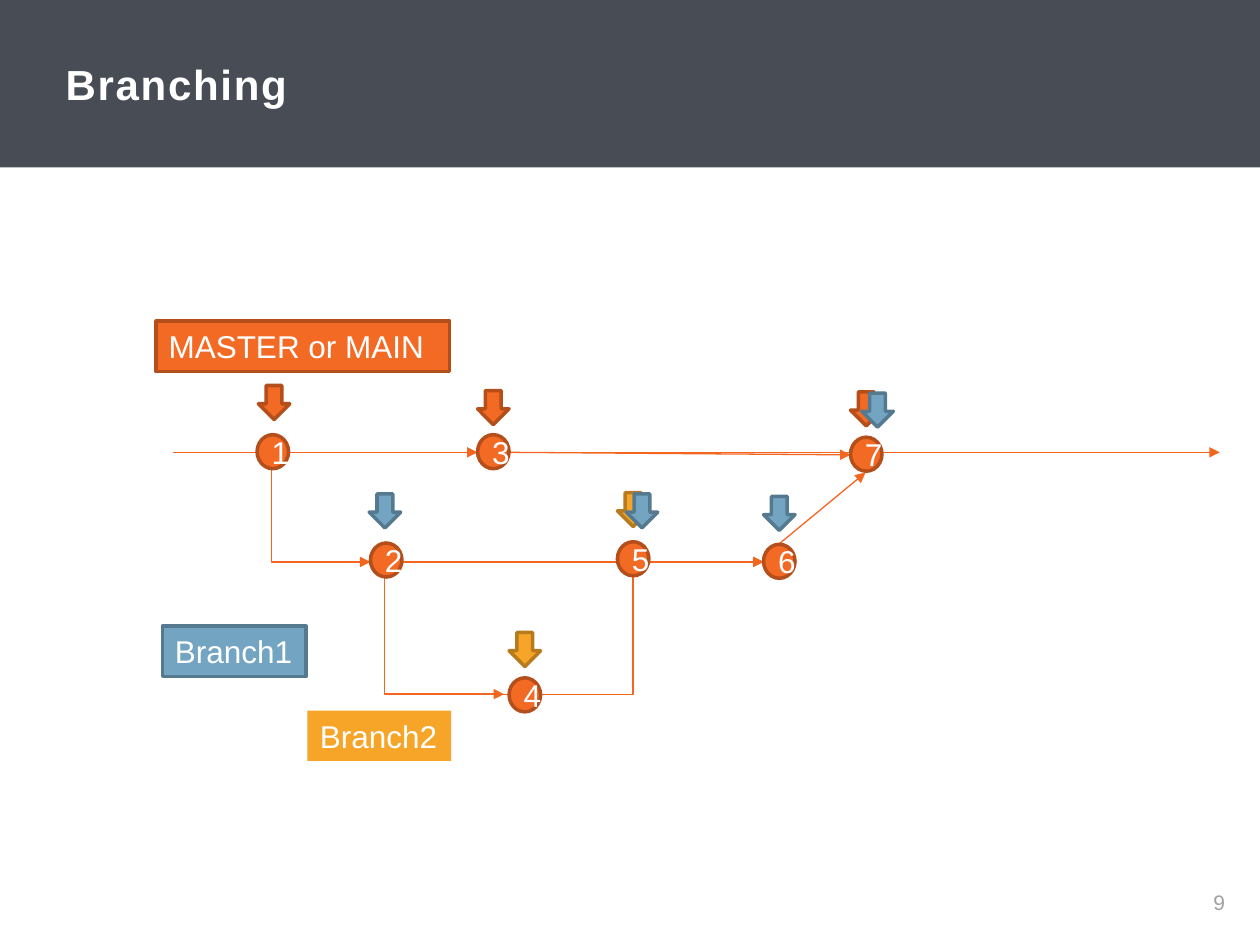
from lxml.etree import SubElement
from pptx import Presentation
from pptx.dml.color import RGBColor
from pptx.enum.shapes import MSO_CONNECTOR, MSO_SHAPE
from pptx.enum.text import MSO_ANCHOR, MSO_AUTO_SIZE, PP_ALIGN
from pptx.oxml.ns import qn
from pptx.util import Inches, Pt

COLORS = {
    "band": "474C55", "white": "FFFFFF", "page": "A0A1A0", "path": "F3661F",
    "main": "F36A25", "main_edge": "B44E1B",
    "branch1": "73A5C2", "branch1_edge": "557A90",
    "branch2": "F7A528", "branch2_edge": "B77A1E",
}
MARK_W, MARK_H = 0.25, 0.27


def add_block(kind, left, top, width, height, fill, edge=None):
    block = slide.shapes.add_shape(
        kind, Inches(left), Inches(top), Inches(width), Inches(height))
    block.shadow.inherit = False
    block.fill.solid()
    block.fill.fore_color.rgb = RGBColor.from_string(COLORS[fill])
    if edge:
        block.line.color.rgb = RGBColor.from_string(COLORS[edge])
        block.line.width = Pt(2)
    else:
        block.line.fill.background()
    return block


def write(frame, text, size, color, align, bold=False):
    frame.text = text
    paragraph = frame.paragraphs[0]
    paragraph.alignment = align
    paragraph.font.name = "Arial"
    paragraph.font.size = Pt(size)
    paragraph.font.bold = bold
    paragraph.font.color.rgb = RGBColor.from_string(COLORS[color])


prs = Presentation()
prs.slide_width, prs.slide_height = Inches(10), Inches(7.5)
slide = prs.slides.add_slide(prs.slide_layouts[5])

band = add_block(MSO_SHAPE.RECTANGLE, 0, 0, 10, 1.33, "band")
title = slide.shapes.title
band._element.addnext(title._element)
title.left, title.top = Inches(0.42), Inches(-0.01)
title.width, title.height = Inches(6.81), Inches(1.34)
write(title.text_frame, "Branching", 24, "white", PP_ALIGN.LEFT, bold=True)
title.text_frame.vertical_anchor = MSO_ANCHOR.MIDDLE
title.text_frame.auto_size = MSO_AUTO_SIZE.NONE
title.text_frame.paragraphs[0].runs[0].font._element.set("spc", "100")

page_number = slide.shapes.add_textbox(
    Inches(8.88), Inches(6.96), Inches(0.94), Inches(0.4))
page_number.text_frame.word_wrap = True
page_number.text_frame.vertical_anchor = MSO_ANCHOR.MIDDLE
write(page_number.text_frame, "9", 12, "page", PP_ALIGN.RIGHT)

STRAIGHT, ELBOW = MSO_CONNECTOR.STRAIGHT, MSO_CONNECTOR.ELBOW
history_paths = [
    (STRAIGHT, 1.37, 3.59, 9.68, 3.59, False),
    (ELBOW, 1.37, 3.59, 2.94, 4.46, False),
    (STRAIGHT, 3.06, 4.46, 6.06, 4.46, False),
    (ELBOW, 4.05, 4.51, 3.0, 5.46, True),
    (ELBOW, 3.99, 5.51, 6.06, 4.46, False),
    (STRAIGHT, 6.18, 4.32, 6.87, 3.75, False),
    (STRAIGHT, 2.28, 3.59, 3.79, 3.59, False),
    (STRAIGHT, 4.04, 3.59, 6.75, 3.61, False),
]
for kind, x1, y1, x2, y2, down_first in history_paths:
    step = slide.shapes.add_connector(
        kind, Inches(x1), Inches(y1), Inches(x2), Inches(y2))
    step.line.color.rgb = RGBColor.from_string(COLORS["path"])
    step.line.width = Pt(0.75)
    properties = step._element.spPr
    SubElement(properties.find(qn("a:ln")), qn("a:tailEnd"), type="triangle")
    SubElement(properties, qn("a:effectLst"))
    if down_first:
        properties.find(qn("a:xfrm")).set("rot", "16200000")
        adjustments = properties.find(qn("a:prstGeom")).get_or_add_avLst()
        SubElement(adjustments, qn("a:gd"), name="adj1", fmla="val 99900")

commits = [
    ("1", 2.04, 3.45), ("2", 2.94, 4.31), ("3", 3.79, 3.45), ("4", 4.04, 5.38),
    ("5", 4.9, 4.3), ("6", 6.06, 4.32), ("7", 6.75, 3.47),
]
for number, left, top in commits:
    commit = add_block(MSO_SHAPE.FLOWCHART_CONNECTOR, left, top,
                       MARK_W, MARK_H, "main", "main_edge")
    write(commit.text_frame, number, 18, "white", PP_ALIGN.CENTER)

branch_labels = [
    ("MASTER or MAIN", 1.24, 2.55, 2.33, "main", "main_edge"),
    ("Branch1", 1.29, 4.97, 1.14, "branch1", "branch1_edge"),
    ("Branch2", 2.44, 5.64, 1.14, "branch2", None),
]
for text, left, top, width, fill, edge in branch_labels:
    label = add_block(MSO_SHAPE.RECTANGLE, left, top, width, 0.4, fill, edge)
    label.text_frame.word_wrap = False
    label.text_frame.auto_size = MSO_AUTO_SIZE.SHAPE_TO_FIT_TEXT
    label.text_frame.vertical_anchor = MSO_ANCHOR.TOP
    write(label.text_frame, text, 18, "white", PP_ALIGN.LEFT)

branch_pointers = [
    ("main", 2.05, 3.06), ("main", 3.79, 3.1), ("main", 6.75, 3.11),
    ("branch2", 4.04, 5.02), ("branch2", 4.9, 3.91),
    ("branch1", 2.93, 3.92), ("branch1", 4.97, 3.92),
    ("branch1", 6.06, 3.94), ("branch1", 6.84, 3.12),
]
for branch, left, top in branch_pointers:
    add_block(MSO_SHAPE.DOWN_ARROW, left, top, MARK_W, MARK_H,
              branch, f"{branch}_edge")

prs.save("out.pptx")
